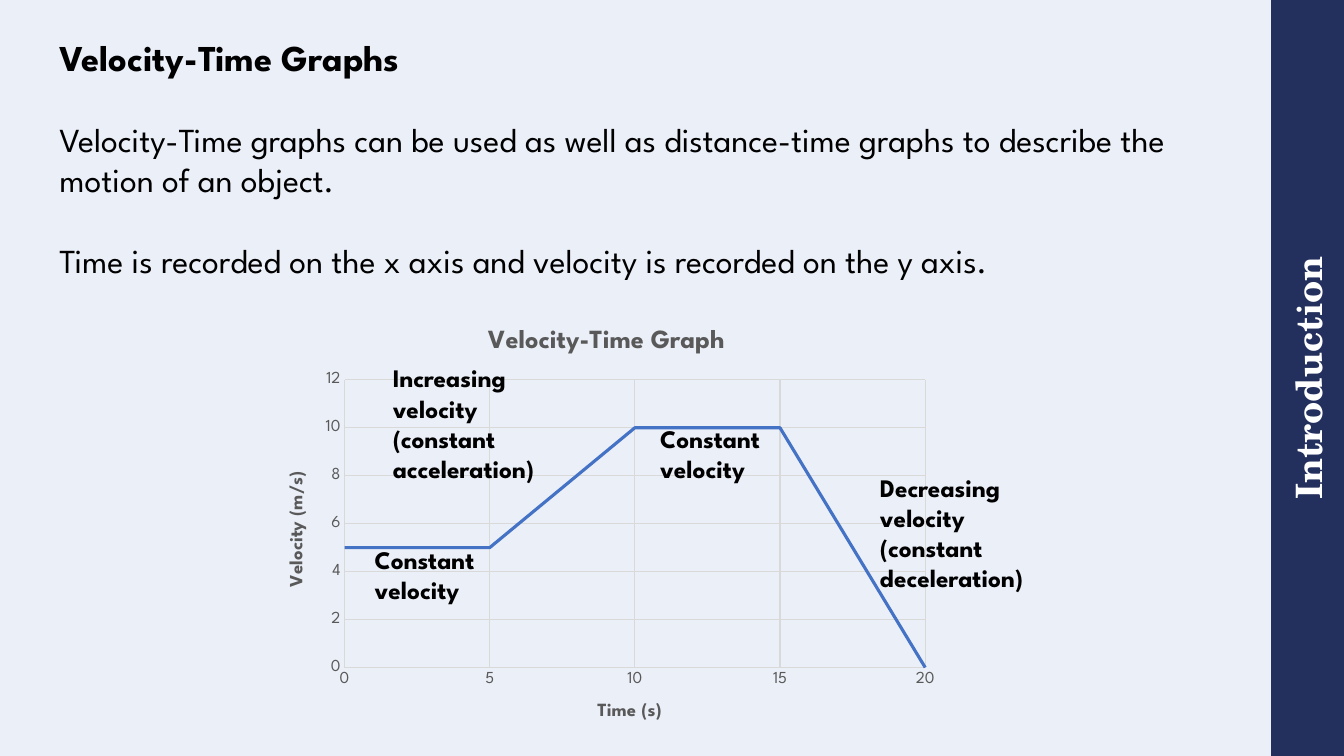
"""Build the slide on velocity-time graphs."""
from lxml import etree
from pptx import Presentation
from pptx.chart.data import CategoryChartData
from pptx.dml.color import RGBColor
from pptx.enum.chart import XL_CHART_TYPE, XL_TICK_MARK
from pptx.enum.shapes import MSO_SHAPE
from pptx.enum.text import MSO_ANCHOR, PP_ALIGN
from pptx.oxml.ns import qn
from pptx.util import Pt

LINE, NO_TICK = XL_CHART_TYPE.LINE, XL_TICK_MARK.NONE
RECT = MSO_SHAPE.RECTANGLE
LEFT, CENTER = PP_ALIGN.LEFT, PP_ALIGN.CENTER
MIDDLE, BOTTOM = MSO_ANCHOR.MIDDLE, MSO_ANCHOR.BOTTOM
SANS, SERIF = "League Spartan", "TeX Gyre Schola"
COLORS = {"back": "EBEFF8", "navy": "232F5D", "white": "FFFFFF", "black": "000000",
          "gray": "595959", "grid": "D9D9D9", "blue": "4472C4"}


def style(font, size, color, bold=False, name=SANS):
    font.size, font.bold, font.name = Pt(size), bold, name
    font.color.rgb = RGBColor.from_string(COLORS[color])


def place(node, index, **spots):
    for old in node.findall(qn("c:layout")):
        node.remove(old)
    layout = etree.Element(qn("c:layout"))
    manual = etree.SubElement(layout, qn("c:manualLayout"))
    if "w" in spots:
        etree.SubElement(manual, qn("c:layoutTarget")).set("val", "inner")
    for key in ("xMode", "yMode"):
        etree.SubElement(manual, qn("c:" + key)).set("val", "edge")
    for key, value in spots.items():
        etree.SubElement(manual, qn("c:" + key)).set("val", str(value))
    node.insert(index, layout)


deck = Presentation()
deck.slide_width, deck.slide_height = Pt(960), Pt(540)
slide = deck.slides.add_slide(deck.slide_layouts[5])
shapes = slide.shapes
slide.background.fill.solid()
slide.background.fill.fore_color.rgb = RGBColor.from_string(COLORS["back"])

title = shapes.title
title.left, title.top, title.width, title.height = Pt(42.5), Pt(0), Pt(836), Pt(57)
frame = title.text_frame
frame.text = "Velocity-Time Graphs"
frame.vertical_anchor = BOTTOM
frame.margin_left = frame.margin_right = frame.margin_top = frame.margin_bottom = 0
para = frame.paragraphs[0]
para.alignment, para.line_spacing = LEFT, 0.9
style(para.runs[0].font, 26, "black", True)

band = shapes.add_shape(RECT, Pt(664), Pt(244), Pt(540), Pt(52))
band.rotation = 270
band.shadow.inherit = False
band.fill.solid()
band.fill.fore_color.rgb = RGBColor.from_string(COLORS["navy"])
band.line.fill.background()
frame = band.text_frame
frame.text = "Introduction"
frame.vertical_anchor = MIDDLE
frame.margin_left = frame.margin_right = frame.margin_top = frame.margin_bottom = 0
frame.paragraphs[0].alignment = CENTER
style(frame.paragraphs[0].runs[0].font, 26, "white", True, SERIF)

data = CategoryChartData()
data.categories = ["0", "5", "10", "15", "20"]
data.add_series("Series 1", (5, 5, 10, 10, 0))
chart = shapes.add_chart(LINE, Pt(189.5), Pt(220.5), Pt(488), Pt(310), data).chart
style(chart.font, 10, "black")
chart.has_legend = False
chart.has_title = True
time, speed = chart.category_axis, chart.value_axis
time.has_title = speed.has_title = True
heads = [
    (chart.chart_title, "Velocity-Time Graph", 18.7),
    (time.axis_title, "Time (s)", 13.3),
    (speed.axis_title, "Velocity (m/s)", 13.3),
]
for head, text, size in heads:
    head.text_frame.text = text
    style(head.text_frame.paragraphs[0].runs[0].font, size, "gray", True)

for axis in (time, speed):
    axis.major_tick_mark = axis.minor_tick_mark = NO_TICK
    axis.has_major_gridlines = True
    style(axis.tick_labels.font, 12, "gray")
    for line in (axis.format.line, axis.major_gridlines.format.line):
        line.color.rgb = RGBColor.from_string(COLORS["grid"])
        line.width = Pt(0.75)
speed.format.line.fill.background()
speed.minimum_scale, speed.maximum_scale, speed.major_unit = 0, 12, 2

plot = chart.plots[0]
plot.vary_by_categories = False
curve = plot.series[0]
curve.smooth = False
curve.format.line.color.rgb = RGBColor.from_string(COLORS["blue"])
curve.format.line.width = Pt(2.25)

root = chart.element
place(root.xpath("c:chart/c:plotArea")[0], 0, x=0.116, y=0.164, w=0.85, h=0.663)
spots = [(0.319, 0.031), (0.481, 0.896), (0.026, 0.367)]
for node, (x, y) in zip(root.xpath("//c:title"), spots):
    place(node, 1, x=x, y=y)
turn = root.xpath("//c:valAx/c:title//a:bodyPr")[0]
turn.set("rot", "-5400000")
turn.set("vert", "horz")
for old in root.xpath("//c:valAx/c:crossBetween"):
    old.getparent().remove(old)
cross = etree.Element(qn("c:crossBetween"))
cross.set("val", "midCat")
root.xpath("//c:valAx/c:crosses | //c:valAx/c:crossAx")[-1].addnext(cross)

body = shapes.add_textbox(Pt(42.5), Pt(85), Pt(836), Pt(145.5))
frame = body.text_frame
frame.word_wrap = True
frame.margin_left = frame.margin_right = frame.margin_top = frame.margin_bottom = 0
frame.text = (
    "Velocity-Time graphs can be used as well as distance-time graphs "
    "to describe the motion of an object.\n"
    "Time is recorded on the x axis and velocity is recorded on the y axis."
)
frame.paragraphs[1].space_before = Pt(29)
for para in frame.paragraphs:
    style(para.runs[0].font, 24, "black")

notes = [
    (260.5, 385, 51, "Constant velocity"),
    (464.5, 299, 51, "Constant velocity"),
    (273.5, 255.5, 94.5, "Increasing velocity (constant acceleration)"),
    (621.5, 333.5, 94.5, "Decreasing velocity (constant deceleration)"),
]
for left, top, height, text in notes:
    frame = shapes.add_textbox(Pt(left), Pt(top), Pt(149.5), Pt(height)).text_frame
    frame.word_wrap = True
    frame.text = text
    style(frame.paragraphs[0].runs[0].font, 18, "black", True)

deck.save("out.pptx")
